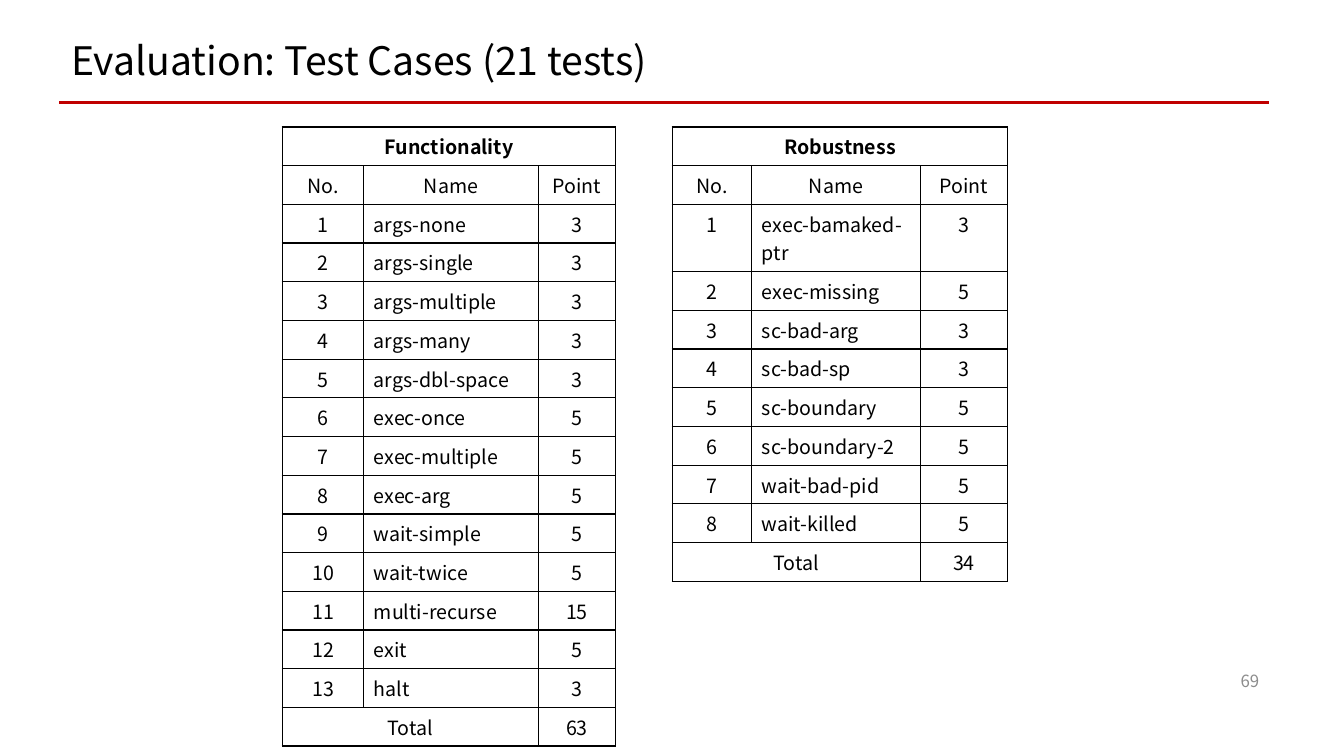
from lxml.etree import SubElement
from pptx import Presentation
from pptx.dml.color import RGBColor
from pptx.enum.shapes import MSO_CONNECTOR
from pptx.enum.text import MSO_ANCHOR, PP_ALIGN
from pptx.oxml.ns import qn
from pptx.util import Pt

FONT = "Noto Sans CJK KR"
COLORS = {"text": "000000", "rule": "C00000", "number": "8C8C8C"}
TABLE_TOP = 90.72
FUNCTIONALITY = [
    ("args-none", 3), ("args-single", 3), ("args-multiple", 3),
    ("args-many", 3), ("args-dbl-space", 3), ("exec-once", 5),
    ("exec-multiple", 5), ("exec-arg", 5), ("wait-simple", 5),
    ("wait-twice", 5), ("multi-recurse", 15), ("exit", 5), ("halt", 3),
]
ROBUSTNESS = [
    ("exec-bamaked-ptr", 3), ("exec-missing", 5), ("sc-bad-arg", 3),
    ("sc-bad-sp", 3), ("sc-boundary", 5), ("sc-boundary-2", 5),
    ("wait-bad-pid", 5), ("wait-killed", 5),
]


def color(name):
    return RGBColor.from_string(COLORS[name])


def write(frame, text, size, tone="text", bold=False, **para_format):
    para = frame.paragraphs[0]
    for key, value in para_format.items():
        setattr(para, key, value)
    span = para.add_run()
    span.text = text
    for key, value in {"name": FONT, "size": Pt(size), "bold": bold}.items():
        setattr(span.font, key, value)
    span.font.color.rgb = color(tone)


def add_text(page, place, text, size, frame_format, **text_format):
    box = page.shapes.add_textbox(*map(Pt, place))
    for key, value in {"word_wrap": True, **frame_format}.items():
        setattr(box.text_frame, key, value)
    write(box.text_frame, text, size, **text_format)


def add_rule(page, left, right, y):
    rule = page.shapes.add_connector(
        MSO_CONNECTOR.STRAIGHT, Pt(left), Pt(y), Pt(right), Pt(y))
    rule.line.color.rgb = color("rule")
    rule.line.width = Pt(2.25)
    SubElement(rule._element.spPr, qn("a:effectLst"))


def outline_cell(cell):
    properties = cell._tc.get_or_add_tcPr()
    for side in ("lnL", "lnR", "lnT", "lnB"):
        border = SubElement(properties, qn(f"a:{side}"), w=str(Pt(1)))
        fill = SubElement(border, qn("a:solidFill"))
        SubElement(fill, qn("a:srgbClr"), val=COLORS["text"])
    cell.fill.background()


def add_score_table(page, left, widths, row_height, title, tests):
    """Number the tests and add a title row, a header row and a total row."""
    numbered = [(i, name, point) for i, (name, point) in enumerate(tests, 1)]
    total = sum(point for _, point in tests)
    rows = [(title, "", ""), ("No.", "Name", "Point"), *numbered,
            ("Total", "", total)]
    table = page.shapes.add_table(
        len(rows), len(widths), Pt(left), Pt(TABLE_TOP),
        Pt(sum(widths)), Pt(row_height * len(rows))).table
    table.first_row = table.horz_banding = False
    for column, width in zip(table.columns, widths):
        column.width = Pt(width)
    last = len(rows) - 1
    table.cell(0, 0).merge(table.cell(0, 2))
    table.cell(last, 0).merge(table.cell(last, 1))
    for r, values in enumerate(rows):
        table.rows[r].height = Pt(row_height)
        for c, value in enumerate(values):
            cell = table.cell(r, c)
            outline_cell(cell)
            if cell.is_spanned:
                continue
            is_test_name = c == 1 and 1 < r < last
            align = PP_ALIGN.LEFT if is_test_name else PP_ALIGN.CENTER
            write(cell.text_frame, str(value), 14, bold=r == 0,
                  alignment=align)


def main():
    deck = Presentation()
    deck.slide_width, deck.slide_height = Pt(960), Pt(540)
    page = deck.slides.add_slide(deck.slide_layouts[6])
    add_score_table(page, 201.6, (58.3, 124.6, 55.4), 26.6,
                    "Functionality", FUNCTIONALITY)
    add_score_table(page, 480.2, (56.9, 120.2, 62.6), 26,
                    "Robustness", ROBUSTNESS)
    add_text(page, (43.9, 29.5, 828, 38.2),
             "Evaluation: Test Cases (21 tests)", 28,
             {"margin_top": 0, "margin_bottom": 0}, line_spacing=0.9)
    add_rule(page, 42.5, 906.5, 73.4)
    add_text(page, (871.2, 471.6, 35.3, 28.8), "69", 12,
             {"vertical_anchor": MSO_ANCHOR.MIDDLE},
             tone="number", alignment=PP_ALIGN.RIGHT)
    deck.save("out.pptx")


if __name__ == "__main__":
    main()
